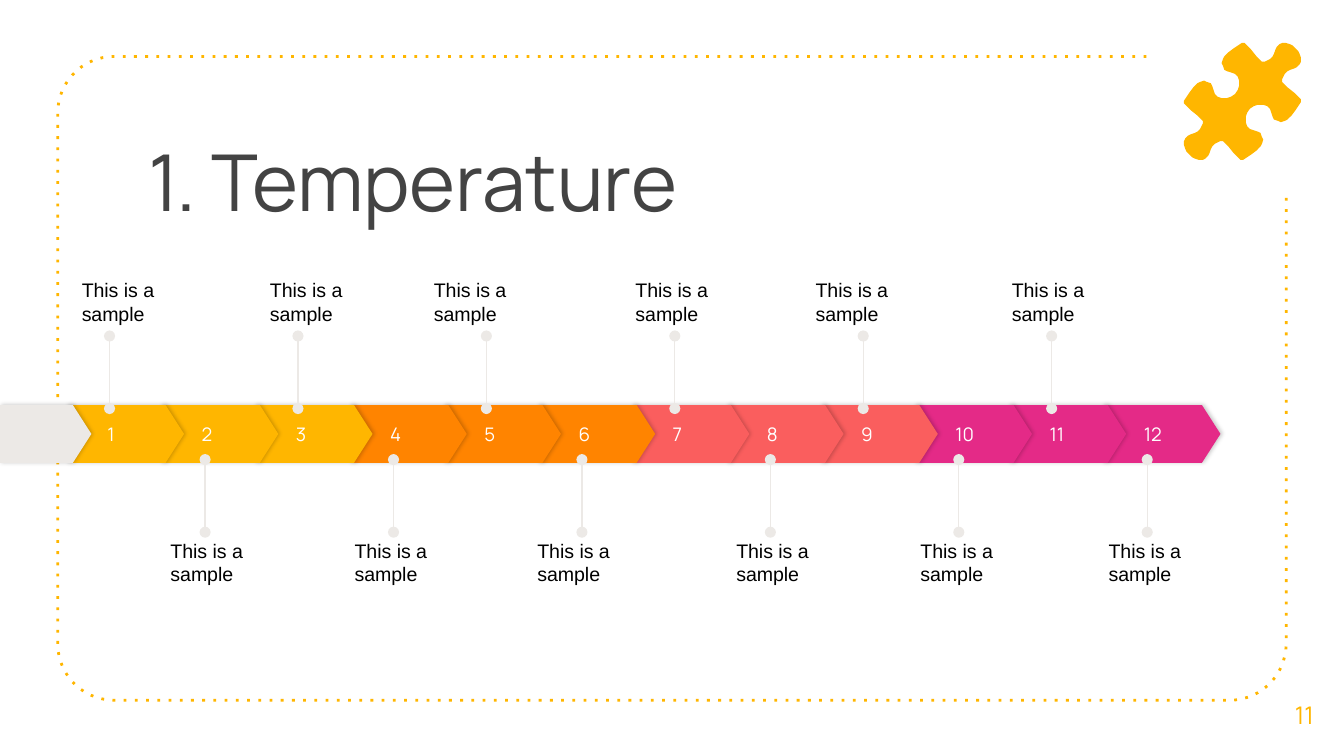
from math import cos, radians, sin
from lxml.etree import SubElement
from pptx import Presentation
from pptx.dml.color import RGBColor
from pptx.enum.shapes import MSO_CONNECTOR, MSO_SHAPE
from pptx.enum.text import MSO_ANCHOR, MSO_AUTO_SIZE, PP_ALIGN
from pptx.oxml.ns import qn
from pptx.util import Inches, Pt

color = RGBColor.from_string
YELLOW, ORANGE, CORAL, PINK, GRAY = "FFB600", "FF8400", "FA5E5E", "E42A87", "ECE9E6"

presentation = Presentation()
presentation.slide_width = Inches(10)
presentation.slide_height = presentation.slide_width * 9 // 16
slide = presentation.slides.add_slide(presentation.slide_layouts[6])
shapes = slide.shapes
unit = presentation.slide_width // 100


def grid(*positions):
    return [round(position * unit) for position in positions]


def write(shape, text, size, font, hex_color):
    shape.text_frame.word_wrap = True
    run = shape.text_frame.paragraphs[0].add_run()
    run.text = text
    run.font.size = Pt(size)
    run.font.name = font
    run.font.color.rgb = color(hex_color)


corner_radius = 4.2
frame_points = []
for center_x, center_y, first_angle in [(8.5, 8.4, 270), (8.5, 47.9, 180), (91.5, 47.9, 90)]:
    for step in range(16):
        angle = radians(first_angle - step * 6)
        frame_points.append(grid(center_x + corner_radius * cos(angle),
                                 center_y + corner_radius * sin(angle)))
frame_points.append(grid(95.7, 14.6))
builder = shapes.build_freeform(*grid(85.3, 4.2))
builder.add_line_segments(frame_points, close=False)
frame = builder.convert_to_shape()
frame.shadow.inherit = False
frame.fill.background()
frame.line.color.rgb = color(YELLOW)
frame.line.width = Pt(1.5)
SubElement(frame.element.spPr.find(qn("a:ln")), qn("a:prstDash"), val="dot")

title = shapes.add_textbox(*grid(10.1, 8.9, 79.7, 9.4))
page_number = shapes.add_textbox(*grid(94.1, 50.2, 5.9, 6))
for box, text, size, hex_color in [(title, "1. Temperature", 42, "434343"),
                                   (page_number, "11", 13, YELLOW)]:
    write(box, text, size, "Manrope", hex_color)
    text_frame = box.text_frame
    text_frame.margin_top = text_frame.margin_bottom = Inches(0.1)
page_number.text_frame.vertical_anchor = MSO_ANCHOR.MIDDLE
page_number.text_frame.paragraphs[0].alignment = PP_ALIGN.CENTER

step_width = 7.01
quarter_colors = [YELLOW, ORANGE, CORAL, PINK]
for number in range(12, -1, -1):
    if number:
        left, width = 5 + step_width * (number - 1), 8.7
        fill = quarter_colors[(number - 1) // 3]
    else:
        left, width, fill = 0, 6.8, GRAY
    arrow = shapes.add_shape(MSO_SHAPE.PENTAGON, *grid(left, 30.14, width, 4.3))
    arrow.adjustments[0] = 0.32
    arrow.fill.solid()
    arrow.fill.fore_color.rgb = color(fill)
    arrow.line.fill.background()
    arrow.shadow.inherit = False
    effects = arrow.element.spPr.find(qn("a:effectLst"))
    shadow = SubElement(effects, qn("a:outerShdw"), blurRad=str(Pt(2.2)),
                        dist=str(Pt(0.8)), dir="0", algn="l", rotWithShape="0")
    shadow_color = SubElement(shadow, qn("a:srgbClr"), val="000000")
    SubElement(shadow_color, qn("a:alpha"), val="20000")
    if number:
        text_frame = arrow.text_frame
        text_frame.margin_left = Inches(0.3)
        text_frame.margin_right = text_frame.margin_top = text_frame.margin_bottom = 0
        text_frame.vertical_anchor = MSO_ANCHOR.MIDDLE
        text_frame.paragraphs[0].alignment = PP_ALIGN.LEFT
        write(arrow, str(number), 10, "Manrope", "FFFFFF")

label_lefts = [5.1, 11.7, 19.1, 25.4, 31.3, 39, 46.3, 53.8, 59.7, 67.5, 74.3, 81.5]
for index, label_left in enumerate(label_lefts):
    above = index % 2 == 0
    pin_left, start, end, label_top = (8.15, 30.4, 25, 20.2) if above else (8.25, 39.6, 34.2, 39.6)
    pin_x = pin_left + step_width * index
    pin = shapes.add_connector(MSO_CONNECTOR.STRAIGHT, *grid(pin_x, start, pin_x, end))
    pin.line.color.rgb = color(GRAY)
    pin.line.width = Pt(0.75)
    line = pin.element.spPr.find(qn("a:ln"))
    SubElement(line, qn("a:headEnd"), type="oval")
    SubElement(line, qn("a:tailEnd"), type="oval")
    SubElement(pin.element.spPr, qn("a:effectLst"))
    label = shapes.add_textbox(*grid(label_left, label_top, 10.2, 4.7))
    label.text_frame.auto_size = MSO_AUTO_SIZE.SHAPE_TO_FIT_TEXT
    write(label, "This is a sample", 10.5, "Arial", "000000")

piece_size = 87
quarter = [
    (83, 4), (81, 2), (79, 1), (76, 0), (73, 0), (71, 1), (69, 3), (68, 5), (67, 8),
    (66, 10), (64, 12), (62, 13), (60, 14), (58, 14), (56, 12), (54, 10), (50, 5),
    (47, 2), (45, 0), (43, 0), (40, 2), (37, 4), (33, 7), (30, 10), (29, 12), (28, 15),
    (29, 17), (30, 20), (32, 21), (35, 22), (38, 23), (40, 25), (41, 28), (41, 32),
    (40, 35), (38, 38),
]
half = quarter + [(y, x) for x, y in reversed(quarter)]
outline = half + [(piece_size - x, piece_size - y) for x, y in half]
builder = shapes.build_freeform(*outline[0], scale=unit / 10)
builder.add_line_segments(outline[1:])
puzzle_piece = builder.convert_to_shape(*grid(88.1, 3.2))
puzzle_piece.shadow.inherit = False
puzzle_piece.fill.solid()
puzzle_piece.fill.fore_color.rgb = color(YELLOW)
puzzle_piece.line.fill.background()

presentation.save("out.pptx")
